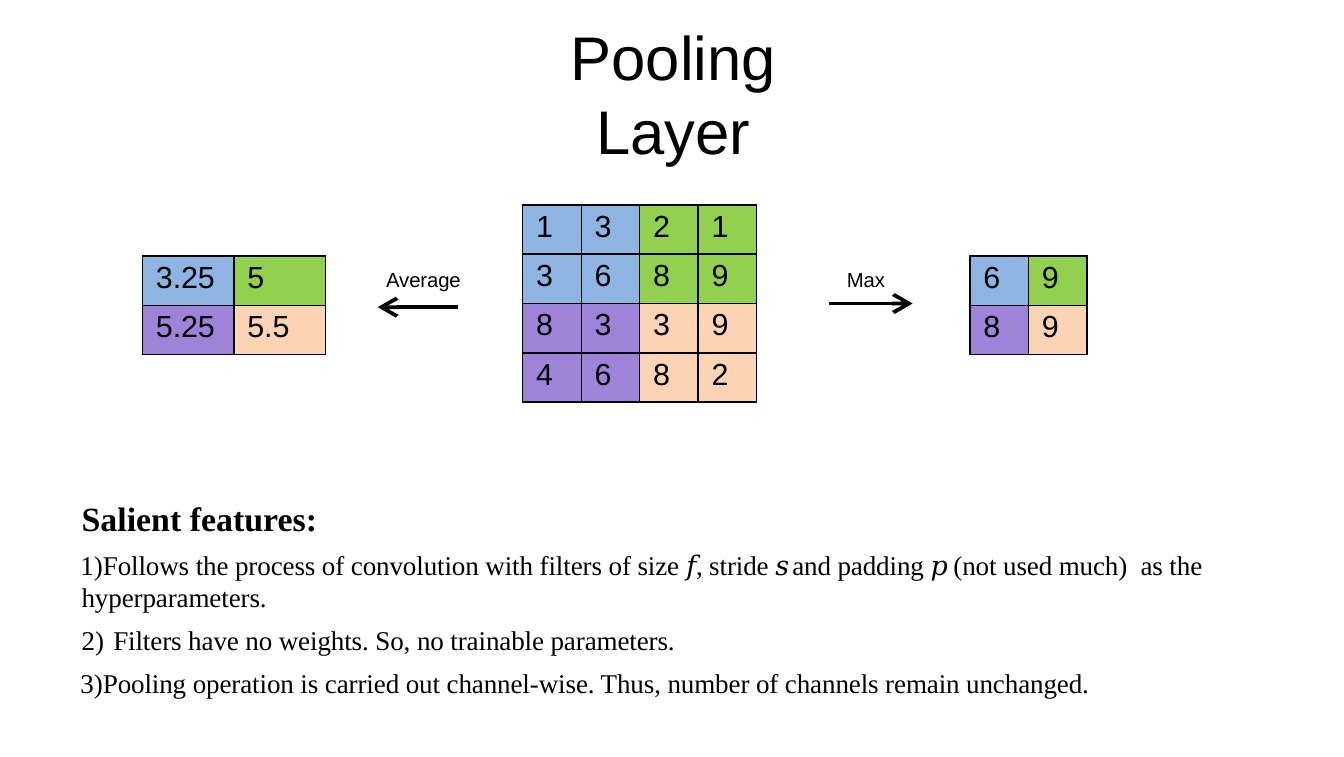
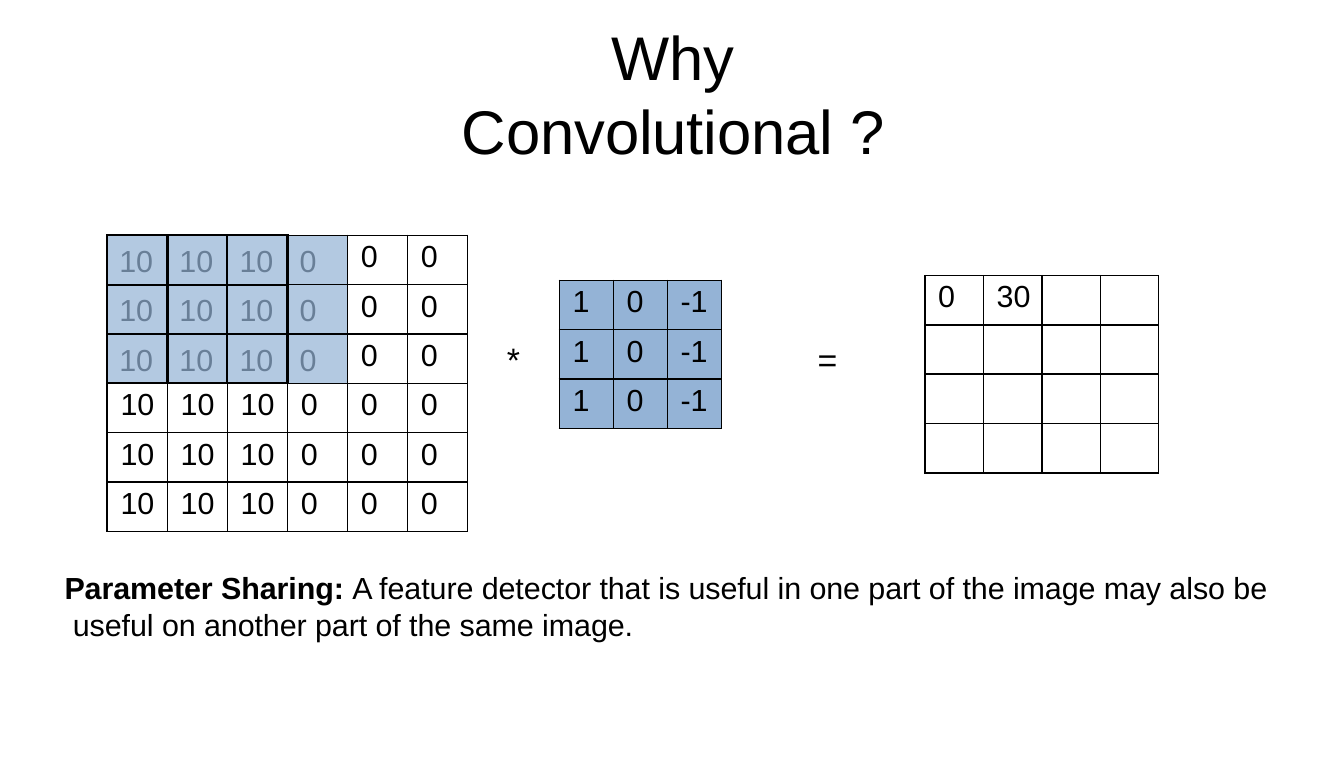
import pptx
import pptx.dml.color
import pptx.enum.shapes
import pptx.enum.text
import pptx.oxml
import pptx.oxml.ns
import pptx.util
from pptx.util import Inches

BLACK = "000000"
BLUE = "8EB4E2"
GREEN = "92D050"
PURPLE = "9F83D9"
PEACH = "FBD4B5"
STEEL = "94B3D6"
SANS = "Arial"
SERIF = "Times New Roman"
ROW_HEIGHT = 0.405
QUADRANT_COLORS = [[BLUE, GREEN], [PURPLE, PEACH]]
BORDER_SIDES = ["L", "R", "T", "B"]


def color(hex_value):
    return pptx.dml.color.RGBColor.from_string(hex_value)


def make_element(xml):
    """Parse one DrawingML element given without its namespace declaration."""
    declaration = pptx.oxml.ns.nsdecls("a")
    name_end = min(xml.index(mark) for mark in " />" if mark in xml)
    return pptx.oxml.parse_xml(f"{xml[:name_end]} {declaration}{xml[name_end:]}")


def add_text(paragraph, text, size=18, font=SANS, bold=False, text_color=BLACK, tracking=-0.05):
    run = paragraph.add_run()
    run.text = text
    run.font.size = pptx.util.Pt(size)
    run.font.name = font
    run.font.bold = bold
    run.font.color.rgb = color(text_color)
    run.font._element.set("spc", str(round(tracking * 100)))


def format_paragraph(paragraph, before=0, left=0.01, indent=0, number=False):
    """Set spacing, indents and either automatic numbering or no bullet."""
    paragraph.space_before = pptx.util.Pt(before)
    properties = paragraph._p.get_or_add_pPr()
    properties.set("marL", str(Inches(left)))
    properties.set("indent", str(Inches(indent)))
    bullet = '<a:buAutoNum type="arabicParenR"/>' if number else "<a:buNone/>"
    properties.append(make_element(bullet))


def prepare_frame(shape, left, top, width, height, inset_top=0.01):
    shape.left, shape.top = Inches(left), Inches(top)
    shape.width, shape.height = Inches(width), Inches(height)
    frame = shape.text_frame
    frame.word_wrap = True
    frame.margin_left = frame.margin_right = frame.margin_bottom = 0
    frame.margin_top = Inches(inset_top)
    return frame


def add_title(slide, text, width):
    center = 5.52
    frame = prepare_frame(slide.shapes.title, center - width / 2, 0.51, width, 0.49)
    frame.auto_size = pptx.enum.text.MSO_AUTO_SIZE.SHAPE_TO_FIT_TEXT
    frame.vertical_anchor = pptx.enum.text.MSO_ANCHOR.MIDDLE
    paragraph = frame.paragraphs[0]
    paragraph.alignment = pptx.enum.text.PP_ALIGN.CENTER
    format_paragraph(paragraph, before=0.9)
    add_text(paragraph, text, size=36.4)


def add_label(slide, text, left, top, width, height, before=1, indent_left=0.01, **text_format):
    """Add a text box and return its paragraph."""
    shape = slide.shapes.add_textbox(0, 0, 0, 0)
    paragraph = prepare_frame(shape, left, top, width, height).paragraphs[0]
    format_paragraph(paragraph, before=before, left=indent_left)
    add_text(paragraph, text, **text_format)
    return paragraph


def set_borders(cell, *widths):
    """Draw the left, right, top and bottom borders in the given point widths."""
    properties = cell._tc.get_or_add_tcPr()
    for position, (side, width) in enumerate(zip(BORDER_SIDES, widths)):
        for previous in properties.findall(pptx.oxml.ns.qn(f"a:ln{side}")):
            properties.remove(previous)
        line = make_element(
            f'<a:ln{side} w="{pptx.util.Pt(width)}"><a:solidFill>'
            f'<a:srgbClr val="{BLACK}"/></a:solidFill></a:ln{side}>'
        )
        properties.insert(position, line)


def fill_cell(cell, fill, opacity=100):
    cell.fill.solid()
    cell.fill.fore_color.rgb = color(fill)
    if opacity < 100:
        solid_fill = cell._tc.tcPr.find(pptx.oxml.ns.qn("a:solidFill"))
        solid_fill[0].append(make_element(f'<a:alpha val="{opacity * 1000}"/>'))


def add_matrix(slide, values, left, top, column_width, fills=None):
    """Add a bordered table; fills is a grid of colours stretched over the cells."""
    row_count, column_count = len(values), len(values[0])
    frame = slide.shapes.add_table(
        row_count, column_count, Inches(left), Inches(top),
        Inches(column_width * column_count), Inches(ROW_HEIGHT * row_count),
    )
    table = frame.table
    table.first_row = table.horz_banding = False
    for row_index, row_values in enumerate(values):
        for column_index, value in enumerate(row_values):
            cell = table.cell(row_index, column_index)
            cell.margin_left = cell.margin_right = cell.margin_bottom = 0
            cell.margin_top = Inches(0.04)
            if fills:
                fill_row = fills[row_index * len(fills) // row_count]
                fill_cell(cell, fill_row[column_index * len(fill_row) // column_count])
            else:
                cell.fill.background()
            set_borders(cell, 1, 1, 1, 1)
            if value:
                paragraph = cell.text_frame.paragraphs[0]
                format_paragraph(paragraph, before=3.1, left=0.11)
                add_text(paragraph, value)
    return table


def add_arrow(slide, start, end, y):
    connector = slide.shapes.add_connector(
        pptx.enum.shapes.MSO_CONNECTOR.STRAIGHT,
        Inches(start), Inches(y), Inches(end), Inches(y),
    )
    connector.line.width = pptx.util.Pt(2.25)
    connector.line.color.rgb = color(BLACK)
    head = make_element('<a:tailEnd type="arrow" w="lg" len="lg"/>')
    connector.line._get_or_add_ln().append(head)
    connector._element.spPr.append(make_element("<a:effectLst/>"))


def add_features(slide):
    frame = prepare_frame(slide.placeholders[1], 0.66, 3.96, 9.6, 1.79, inset_top=0.12)
    frame.auto_size = pptx.enum.text.MSO_AUTO_SIZE.NONE
    heading = frame.paragraphs[0]
    format_paragraph(heading, before=8.8)
    add_text(heading, "Salient features:", size=20, font=SERIF, bold=True, tracking=0)
    features = [
        (0.01, -0.02, [
            ("Follows the process of convolution with filters of size ", -0.05),
            ("𝑓, ", -0.2),
            ("stride ", -0.05),
            ("𝑠 ", -2.2),
            ("and padding ", -0.05),
            ("𝑝 ", -0.8),
            ("(not used much)  as the hyperparameters.", -0.05),
        ]),
        (0.27, -0.26, [("Filters have no weights. So, no trainable parameters.", -0.05)]),
        (0.01, -0.02, [("Pooling operation is carried out channel-wise. "
                        "Thus, number of channels remain unchanged.", -0.05)]),
    ]
    for left, indent, runs in features:
        paragraph = frame.add_paragraph()
        format_paragraph(paragraph, before=6, left=left, indent=indent, number=True)
        for text, tracking in runs:
            add_text(paragraph, text, size=16, font=SERIF, tracking=tracking)


def build_pooling_slide(presentation):
    slide = presentation.slides.add_slide(presentation.slide_layouts[1])
    add_title(slide, "Pooling Layer", 2.41)
    add_features(slide)
    pooling_input = ["1321", "3689", "8339", "4682"]
    add_matrix(slide, pooling_input, 4.29, 1.68, 0.48, QUADRANT_COLORS)
    add_matrix(slide, ["69", "89"], 7.96, 2.1, 0.48, QUADRANT_COLORS)
    averages = [["3.25", "5"], ["5.25", "5.5"]]
    add_matrix(slide, averages, 1.17, 2.1, 0.75, QUADRANT_COLORS)
    add_arrow(slide, 6.8, 7.49, 2.49)
    add_arrow(slide, 3.76, 3.1, 2.52)
    add_label(slide, "Average", 3.16, 2.18, 0.7, 0.23, size=12)
    add_label(slide, "Max", 6.94, 2.18, 0.4, 0.23, size=12)


def add_image_matrix(slide):
    """Add the 6 by 6 input with its translucent 3 by 4 filter region."""
    left, top, column_width = 0.88, 1.93, 0.493
    values = ["10", "10", "10", "0", "0", "0"]
    region_rows, region_columns = 3, 4
    for row in range(region_rows):
        for column in range(region_columns):
            paragraph = add_label(
                slide, values[column], left + 0.1 + column * column_width,
                top + 0.07 + row * ROW_HEIGHT, 0.3, 0.28, before=0, indent_left=0,
            )
            paragraph.line_spacing = pptx.util.Pt(19.9)
    covered_row = [""] * region_columns + values[region_columns:]
    rows = [covered_row] * region_rows + [values] * region_rows
    table = add_matrix(slide, rows, left, top, column_width)
    region_borders = [
        (1, 2.25, 1.5, 1.5),
        (2.25, 1.5, 1.5, 1.5),
        (1.5, 1.5, 1.5, 1.5),
        (1.5, 1, 1, 1),
    ]
    for column, widths in enumerate(region_borders):
        for row in range(region_rows):
            cell = table.cell(row, column)
            fill_cell(cell, STEEL, opacity=71)
            set_borders(cell, *widths)
        set_borders(table.cell(region_rows, column), 1, 1, widths[3], 1)


def build_convolution_slide(presentation):
    slide = presentation.slides.add_slide(presentation.slide_layouts[5])
    add_title(slide, "Why Convolutional ?", 3.6)
    add_label(slide, "*", 4.15, 2.77, 0.2, 0.36, size=20)
    add_label(slide, "=", 6.7, 2.77, 0.2, 0.36, size=20)
    add_matrix(slide, [["1", "0", "-1"]] * 3, 4.59, 2.3, 0.443, [[STEEL]])
    result = [["0", "30", "", ""]] + [[""] * 4] * 3
    add_matrix(slide, result, 7.59, 2.26, 0.48)
    add_image_matrix(slide)
    paragraph = add_label(slide, "Parameter Sharing: ", 0.52, 4.66, 9.94, 0.63, bold=True)
    add_text(paragraph, "A feature detector that is useful in one part of the image may "
                        "also be  useful on another part of the same image.")


def main():
    presentation = pptx.Presentation()
    presentation.slide_width = Inches(11.03)
    presentation.slide_height = Inches(6.21)
    build_pooling_slide(presentation)
    build_convolution_slide(presentation)
    presentation.save("out.pptx")


if __name__ == "__main__":
    main()
